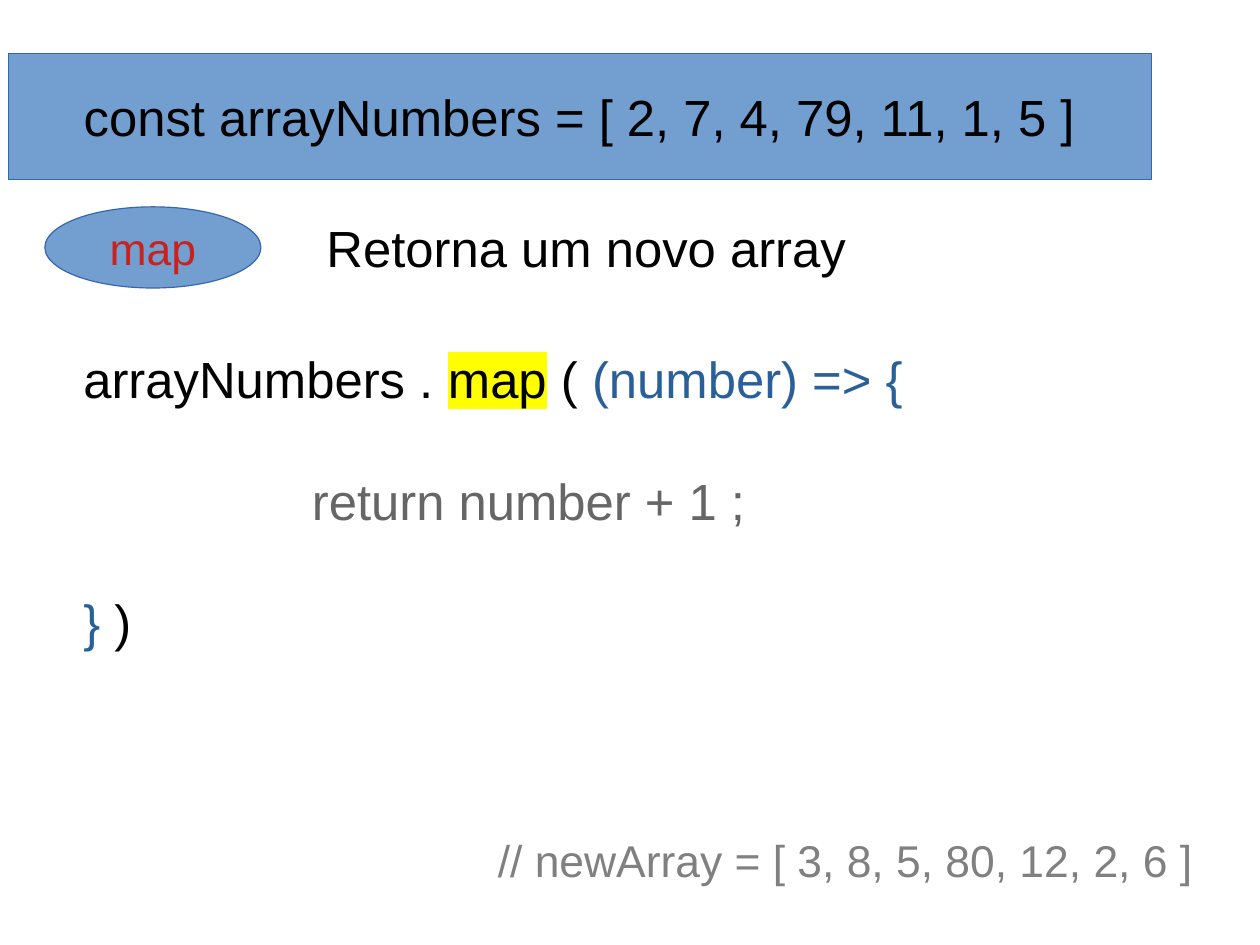
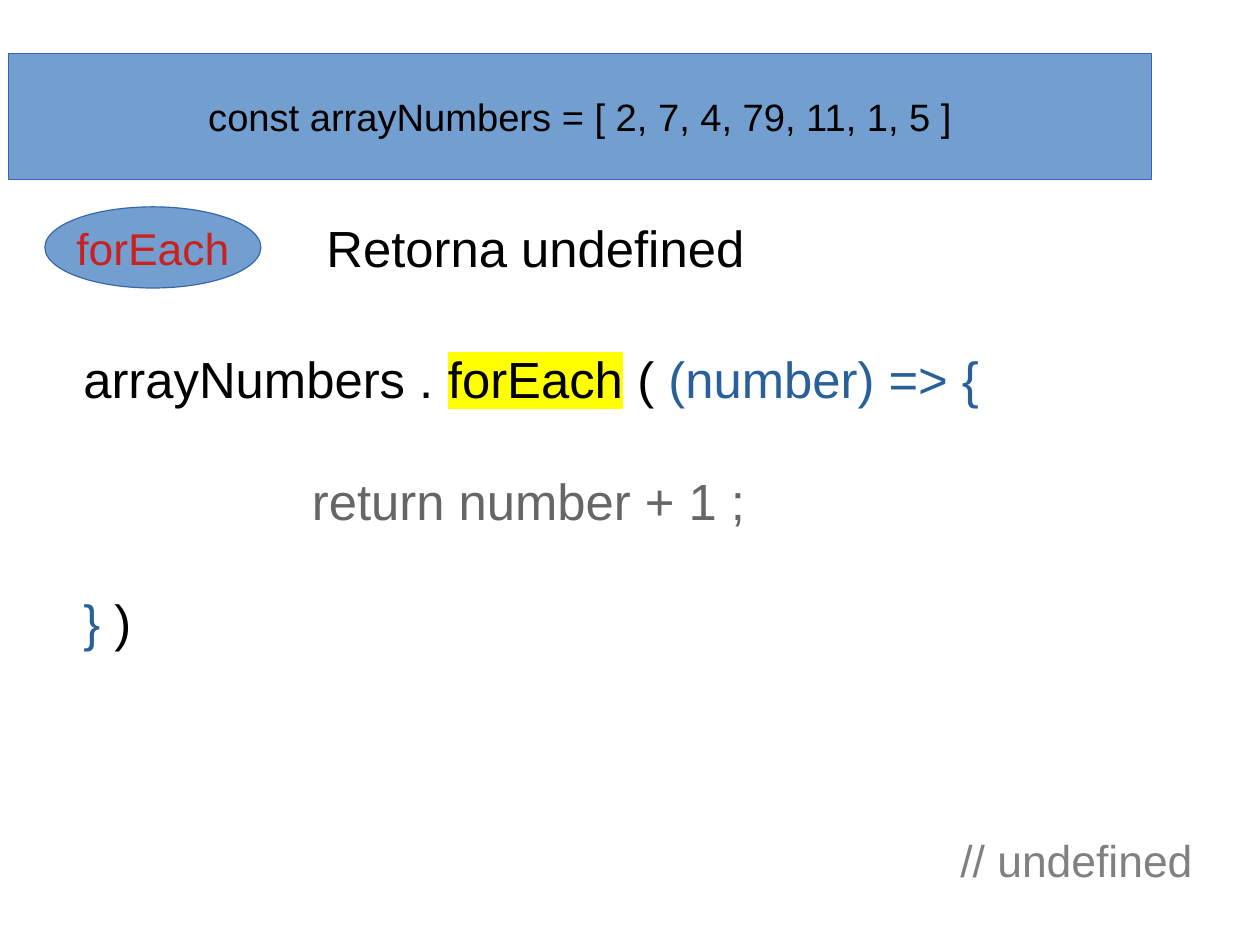
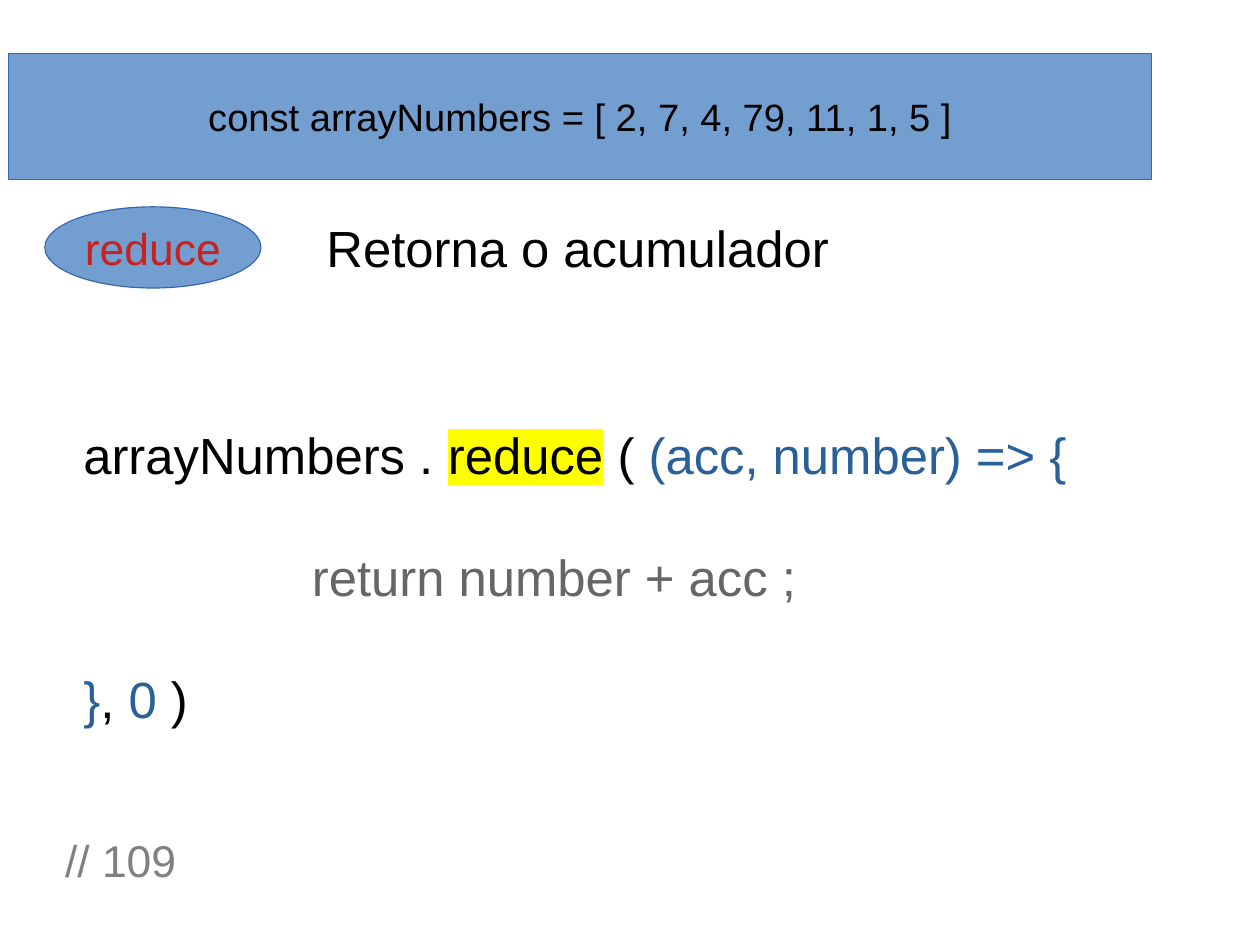
from lxml.etree import SubElement
from pptx import Presentation
from pptx.dml.color import RGBColor
from pptx.enum.shapes import MSO_SHAPE
from pptx.enum.text import MSO_ANCHOR, MSO_AUTO_SIZE, PP_ALIGN
from pptx.oxml.ns import qn
from pptx.util import Cm, Inches, Pt

BLACK, BLUE, GRAY, DARK_GRAY, RED = "000000", "2A6099", "808080", "666666", "C9211E"
FILL, OUTLINE, MARKER = "729FCF", "3465AF", "FFFF00"
LEFT, CENTER, RIGHT = PP_ALIGN.LEFT, PP_ALIGN.CENTER, PP_ALIGN.RIGHT

prs = Presentation()
prs.slide_width, prs.slide_height = Cm(28), Cm(21)

# left, top, width, height in percent of the slide
BAND = (0.68, 5.68, 90.71, 13.3)
METHOD = (3.56, 21.89, 17.15, 8.59)
TITLE = (25, 22.37, 47.17, 8.1)
CODE = (5.72, 36.15, 82.82, 31.3)
RESULT = (4.28, 87.55, 91.25, 6.41)
CODE_DROP = 8.1

ARRAY = "const arrayNumbers = [ 2, 7, 4, 79, 11, 1, 5 ]"
CLOSING = [("}", BLUE), (" )", BLACK)]
CLOSING_WITH_START = [("}", BLUE), (", ", BLACK), ("0", BLUE), (" )", BLACK)]

# method, title, array size, parameters, returned value, closing, code drop, result, alignment
lessons = [
    ("map", "Retorna um novo array", 32, "(number)", "number + 1", CLOSING, 0,
     "// newArray = [ 3, 8, 5, 80, 12, 2, 6 ]", RIGHT),
    ("forEach", "Retorna undefined", 24, "(number)", "number + 1", CLOSING, 0,
     "// undefined", RIGHT),
    ("reduce", "Retorna o acumulador", 24, "(acc, number)", "number + acc",
     CLOSING_WITH_START, CODE_DROP, "// 109", LEFT),
]


def rgb(color):
    return RGBColor.from_string(color)


def place_text(shape, area, lines, size, align=LEFT, anchor=MSO_ANCHOR.TOP):
    """Place the shape and fill it with lines, each a list of (text, color[, highlight])."""
    for side, share, full in zip(("left", "top", "width", "height"), area,
                                 (prs.slide_width, prs.slide_height) * 2):
        setattr(shape, side, round(full * share / 100))
    frame = shape.text_frame
    frame_format = {"word_wrap": True, "auto_size": MSO_AUTO_SIZE.NONE, "vertical_anchor": anchor,
                    "margin_left": Inches(0.1), "margin_right": Inches(0.1),
                    "margin_top": Inches(0.05), "margin_bottom": Inches(0.05)}
    for name, value in frame_format.items():
        setattr(frame, name, value)
    for index, line in enumerate(lines):
        paragraph = frame.add_paragraph() if index else frame.paragraphs[0]
        paragraph.alignment = align
        if index:
            paragraph.space_before = Pt(38.4)
        for text, color, *highlight in line:
            run = paragraph.add_run()
            run.text = text
            for name, value in {"name": "Arial", "size": Pt(size)}.items():
                setattr(run.font, name, value)
            run.font.color.rgb = rgb(color)
            for marker in highlight:
                properties = run.font._element
                mark = SubElement(properties, qn("a:highlight"))
                SubElement(mark, qn("a:srgbClr")).set("val", marker)
                properties.find(qn("a:solidFill")).addnext(mark)


for (method, title, array_size, parameters, returned, closing, drop,
     result, result_align) in lessons:
    slide = prs.slides.add_slide(prs.slide_layouts[5])
    shapes = slide.shapes
    place_text(shapes.title, TITLE, [[(title, BLACK)]], 32)

    for preset, area, text, color, size in (
            (MSO_SHAPE.RECTANGLE, BAND, ARRAY, BLACK, array_size),
            (MSO_SHAPE.OVAL, METHOD, method, RED, 28)):
        panel = shapes.add_shape(preset, 0, 0, 0, 0)
        panel.shadow.inherit = False
        panel.fill.solid()
        panel.fill.fore_color.rgb = rgb(FILL)
        panel.line.color.rgb = rgb(OUTLINE)
        panel.line.width = Pt(0)
        place_text(panel, area, [[(text, color)]], size, CENTER, MSO_ANCHOR.MIDDLE)
        panel.text_frame.word_wrap = False

    call = [("arrayNumbers . ", BLACK), (method, BLACK, MARKER), (" ( ", BLACK),
            (f"{parameters} => {{", BLUE)]
    body = [(f"return {returned} ;", DARK_GRAY)]
    left, top, width, height = CODE
    code = shapes.add_textbox(0, 0, 0, 0)
    place_text(code, (left, top + drop, width, height), [call, body, closing], 32)
    body_format = code.text_frame.paragraphs[1]._p.get_or_add_pPr()
    body_format.set("marL", str(Inches(2)))

    place_text(shapes.add_textbox(0, 0, 0, 0), RESULT, [[(result, GRAY)]], 28, result_align)

prs.save("out.pptx")
